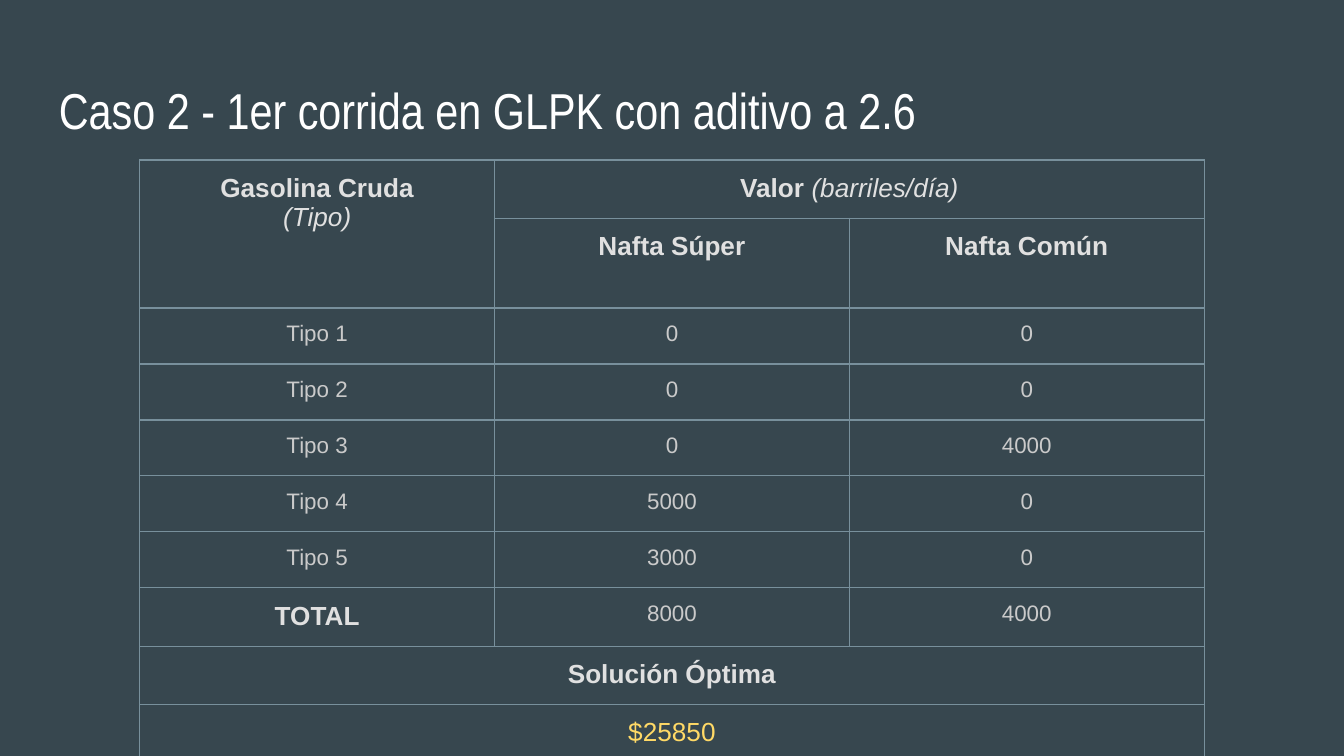
from dataclasses import dataclass

from lxml.etree import SubElement
from pptx import Presentation
from pptx.dml.color import RGBColor as Rgb
from pptx.enum.text import PP_ALIGN as Align
from pptx.oxml.ns import qn
from pptx.util import Inches, Pt


@dataclass(frozen=True)
class Theme:
    background: str = "37474F"
    title: str = "FFFFFF"
    heading: str = "E0E0E0"
    body: str = "CACACA"
    result: str = "FFD966"
    border: str = "78909C"
    title_size: int = 27
    heading_size: int = 14
    body_size: int = 12
    border_width: float = 0.75
    title_font: str = "Arial Narrow"
    font: str = "Arial"


THEME = Theme()
WIDTH = Inches(10)
HEIGHT = WIDTH * 9 // 16
INSET = WIDTH // 100
COLUMN = Inches(2.64)
ROW = Inches(5 / 12)
VALUES = [
    ("Tipo 1", "0", "0"),
    ("Tipo 2", "0", "0"),
    ("Tipo 3", "0", "4000"),
    ("Tipo 4", "5000", "0"),
    ("Tipo 5", "3000", "0"),
    ("TOTAL", "8000", "4000"),
]


def add_span(para, text, size, color, font=THEME.font, bold=False, italic=False):
    span = para.add_run()
    span.text = text
    span.font.size = Pt(size)
    span.font.name = font
    span.font.bold = bold
    span.font.italic = italic
    span.font.color.rgb = Rgb.from_string(color)


def add_heading(para, text, bold=True, color=THEME.heading):
    para.alignment = Align.CENTER
    add_span(para, text, THEME.heading_size, color, bold=bold, italic=not bold)


def add_result(para, text):
    para.alignment = Align.CENTER
    add_span(para, text, THEME.heading_size, THEME.result)


def add_value(para, text):
    para.alignment = Align.CENTER
    add_span(para, text, THEME.body_size, THEME.body)


def set_insets(holder):
    holder.margin_left = holder.margin_right = INSET
    holder.margin_top = holder.margin_bottom = INSET


def add_borders(cell):
    properties = cell._tc.get_or_add_tcPr()
    for position, side in enumerate(("lnL", "lnR", "lnT", "lnB")):
        line = properties.makeelement(qn(f"a:{side}"), {"w": str(Pt(THEME.border_width))})
        fill = SubElement(line, qn("a:solidFill"))
        SubElement(fill, qn("a:srgbClr"), val=THEME.border)
        properties.insert(position, line)


def add_title(page, text):
    box = page.shapes.add_textbox(
        Inches(0.34), Inches(0.49), Inches(9.32), Inches(0.63))
    frame = box.text_frame
    frame.word_wrap = True
    set_insets(frame)
    add_span(frame.paragraphs[0], text, THEME.title_size, THEME.title, THEME.title_font)


def add_grid(page, rows, columns):
    grid = page.shapes.add_table(
        rows, columns, Inches(1.04), Inches(1.19), COLUMN * columns, ROW * rows).table
    grid.first_row = grid.horz_banding = False
    for column in grid.columns:
        column.width = COLUMN
    for row in grid.rows:
        row.height = ROW
    for cell in grid.iter_cells():
        set_insets(cell)
        cell.fill.background()
        add_borders(cell)
    return grid


def first_para(grid, row, column):
    return grid.cell(row, column).text_frame.paragraphs[0]


def fill_header(grid):
    grid.cell(0, 0).merge(grid.cell(1, 0))
    grid.cell(0, 1).merge(grid.cell(0, 2))
    add_heading(first_para(grid, 0, 0), "Gasolina Cruda")
    add_heading(grid.cell(0, 0).text_frame.add_paragraph(), "(Tipo)", bold=False)
    add_heading(first_para(grid, 0, 1), "Valor ")
    add_heading(first_para(grid, 0, 1), "(barriles/día)", bold=False)
    add_heading(first_para(grid, 1, 1), "Nafta Súper")
    add_heading(first_para(grid, 1, 2), "Nafta Común")


def fill_values(grid):
    for row, texts in enumerate(VALUES, start=2):
        for column, text in enumerate(texts):
            write = add_heading if text == "TOTAL" else add_value
            write(first_para(grid, row, column), text)


def fill_solution(grid):
    entries = [("Solución Óptima", add_heading), ("$25850", add_result)]
    for row, (text, write) in enumerate(entries, start=2 + len(VALUES)):
        grid.cell(row, 0).merge(grid.cell(row, 2))
        write(first_para(grid, row, 0), text)


def main():
    deck = Presentation()
    deck.slide_width, deck.slide_height = WIDTH, HEIGHT
    page = deck.slides.add_slide(deck.slide_layouts[6])
    page.background.fill.solid()
    page.background.fill.fore_color.rgb = Rgb.from_string(THEME.background)
    add_title(page, "Caso 2 - 1er corrida en GLPK con aditivo a 2.6")
    grid = add_grid(page, len(VALUES) + 4, 3)
    fill_header(grid)
    fill_values(grid)
    fill_solution(grid)
    deck.save("out.pptx")


if __name__ == "__main__":
    main()
